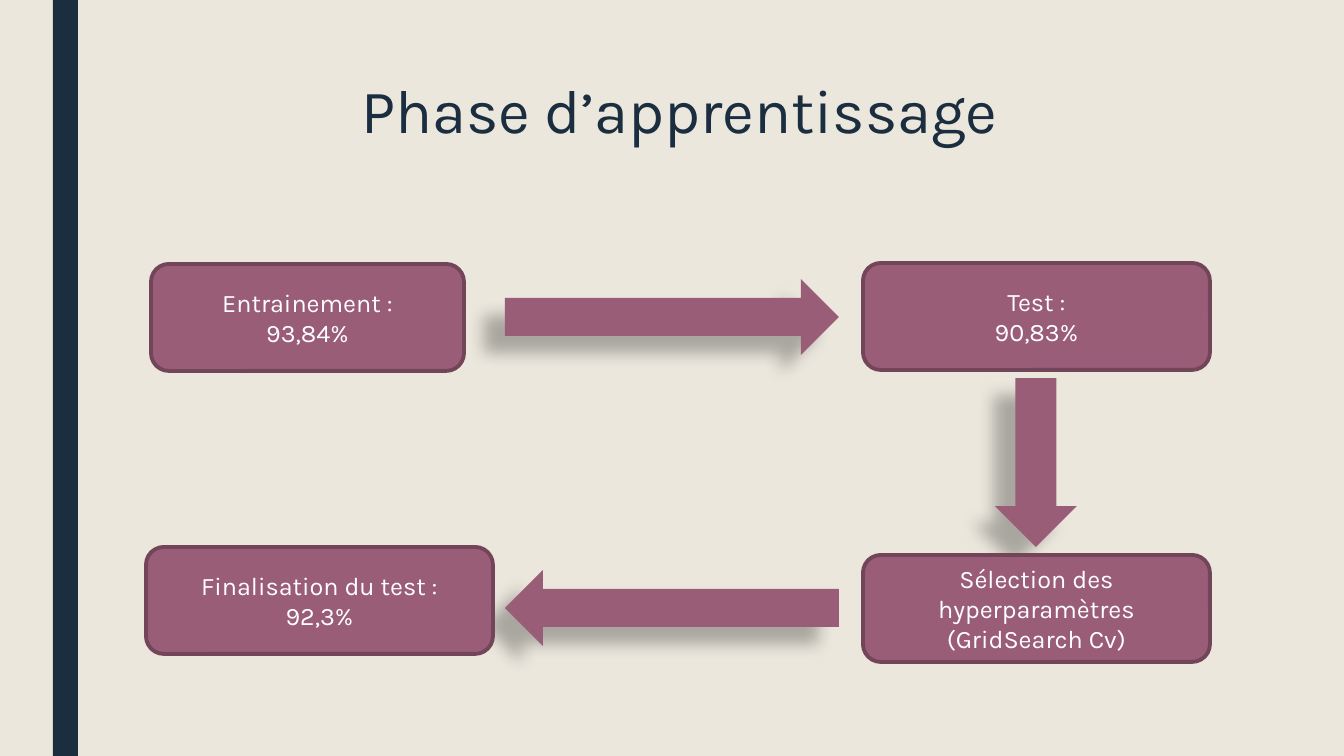
"""Build a slide showing the four steps of a learning phase."""
from dataclasses import dataclass

from lxml import etree
from pptx import Presentation
from pptx import util as u
from pptx.dml.color import RGBColor
from pptx.enum import shapes, text
from pptx.oxml.ns import qn

SLIDE_SIZE = (1344, 756)
EMU_PER_PX = u.Inches(13.3333) / SLIDE_SIZE[0]
KIND = shapes.MSO_SHAPE


@dataclass(frozen=True)
class Theme:
    """Hold the colours, font and sizes of the slide."""
    background: str = "EBE7DD"
    navy: str = "1A2E40"
    plum: str = "9A5D78"
    border: str = "724559"
    white: str = "FFFFFF"
    shadow: str = "000000"
    font: str = "Karla"
    title_size: int = 44
    body_size: int = 18
    border_width: float = 2.75


THEME = Theme()


def px(length):
    """Turn a length in px into EMU."""
    return u.Emu(round(length * EMU_PER_PX))


def set_values(target, values):
    """Set each attribute of the target from a dict."""
    for name, value in values.items():
        setattr(target, name, value)


def write_lines(frame, lines, size, color, **paragraph_format):
    """Write centred paragraphs in one type style."""
    frame.word_wrap = True
    for index, line in enumerate(lines):
        paragraph = frame.paragraphs[0] if index == 0 else frame.add_paragraph()
        set_values(paragraph, {"alignment": text.PP_ALIGN.CENTER, **paragraph_format})
        run = paragraph.add_run()
        run.text = line
        set_values(run.font, {"name": THEME.font, "size": u.Pt(size)})
        run.font.color.rgb = RGBColor.from_string(color)


def add_block(slide, kind, bounds, fill):
    """Add a flat filled shape without a border."""
    shape = slide.shapes.add_shape(kind, *map(px, bounds))
    shape.shadow.inherit = False
    shape.fill.solid()
    shape.fill.fore_color.rgb = RGBColor.from_string(fill)
    shape.line.fill.background()
    return shape


def add_step(slide, bounds, lines):
    """Add a rounded, bordered box holding one step."""
    shape = add_block(slide, KIND.ROUNDED_RECTANGLE, bounds, THEME.plum)
    shape.line.color.rgb = RGBColor.from_string(THEME.border)
    shape.line.width = u.Pt(THEME.border_width)
    shape.text_frame.vertical_anchor = text.MSO_ANCHOR.MIDDLE
    write_lines(shape.text_frame, lines, THEME.body_size, THEME.white)


def add_arrow(slide, kind, bounds):
    """Add a block arrow with a soft shadow to the lower left."""
    shape = add_block(slide, kind, bounds, THEME.plum)
    effects = shape._element.spPr.find(qn("a:effectLst"))
    shadow = etree.SubElement(effects, qn("a:outerShdw"), {
        "blurRad": str(u.Pt(11.8)), "dist": str(u.Pt(19.7)),
        "dir": str(141 * 60000), "algn": "ctr", "rotWithShape": "0"})
    color = etree.SubElement(shadow, qn("a:srgbClr"), val=THEME.shadow)
    etree.SubElement(color, qn("a:alpha"), val="28000")


def add_title(slide, bounds, title):
    """Add the slide title."""
    box = slide.shapes.add_textbox(*map(px, bounds))
    write_lines(box.text_frame, [title], THEME.title_size, THEME.navy, line_spacing=0.89)


def main():
    """Build and save the slide."""
    presentation = Presentation()
    width, height = map(px, SLIDE_SIZE)
    set_values(presentation, {"slide_width": width, "slide_height": height})
    slide = presentation.slides.add_slide(presentation.slide_layouts[6])
    slide.background.fill.solid()
    slide.background.fill.fore_color.rgb = RGBColor.from_string(THEME.background)

    add_block(slide, KIND.RECTANGLE, (53, 0, 25, 756), THEME.navy)
    add_title(slide, (151, 76, 1058, 105), "Phase d’apprentissage")
    add_step(slide, (151, 264, 313, 107), ["Entrainement :", "93,84%"])
    add_arrow(slide, KIND.RIGHT_ARROW, (505, 279, 334, 76))
    add_step(slide, (863, 263, 347, 107), ["Test :", "90,83%"])
    add_arrow(slide, KIND.DOWN_ARROW, (995, 378, 82, 169))
    add_step(slide, (863, 555, 347, 107), ["Sélection des hyperparamètres (GridSearch Cv)"])
    add_arrow(slide, KIND.LEFT_ARROW, (505, 570, 334, 76))
    add_step(slide, (146, 547, 347, 107), ["Finalisation du test :", "92,3%"])
    presentation.save("out.pptx")


if __name__ == "__main__":
    main()
